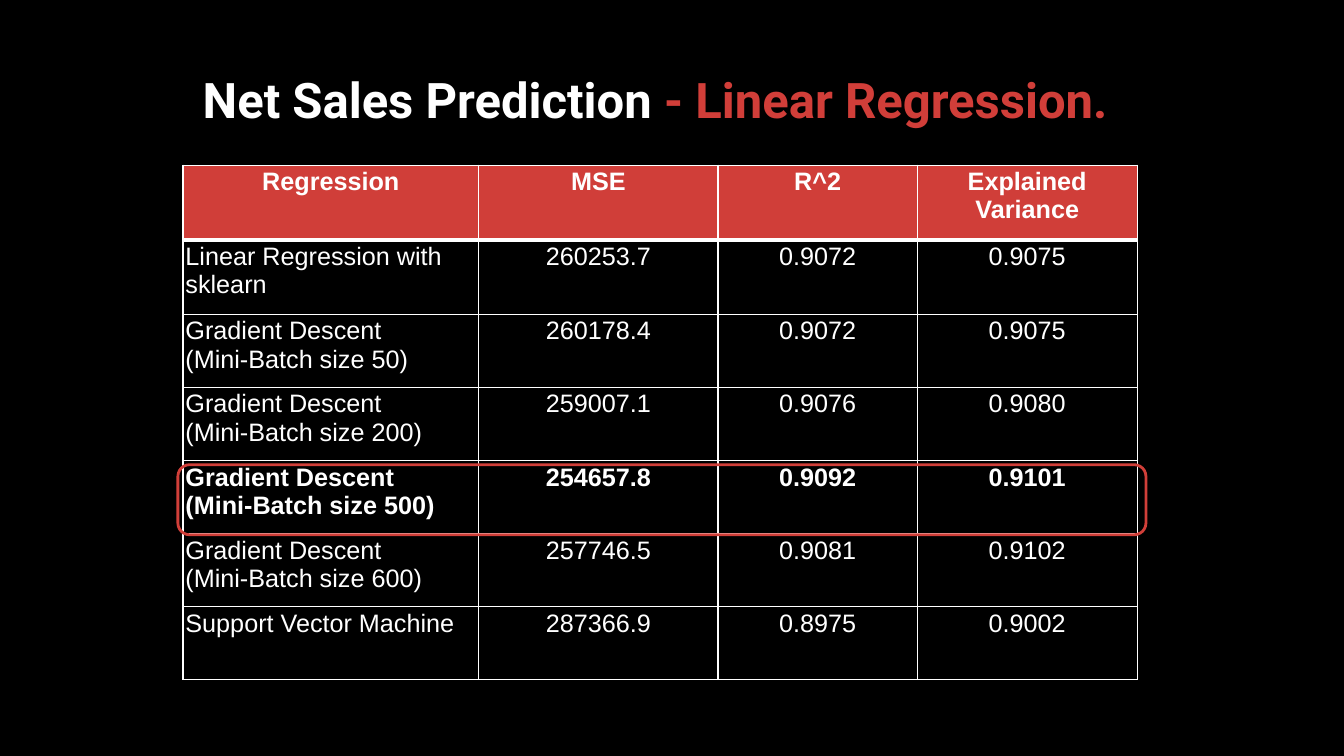
from pptx import Presentation
from pptx.dml.color import RGBColor
from pptx.enum.shapes import MSO_SHAPE
from pptx.enum.text import MSO_ANCHOR, PP_ALIGN
from pptx.oxml import parse_xml
from pptx.oxml.ns import nsdecls
from pptx.util import Inches, Pt

WHITE, BLACK, RED = "FFFFFF", "000000", "D13E39"


def color(hex_string):
    return RGBColor.from_string(hex_string)


def set_borders(cell, widths):
    """Draw white borders; widths gives points for left, right, top, bottom."""
    properties = cell._tc.get_or_add_tcPr()
    for position, (side, width) in enumerate(zip("LRTB", widths)):
        properties.insert(position, parse_xml(
            f'<a:ln{side} {nsdecls("a")} w="{Pt(width)}"><a:solidFill>'
            f'<a:srgbClr val="{WHITE}"/></a:solidFill></a:ln{side}>'))


deck = Presentation()
deck.slide_width, deck.slide_height = Inches(26.67), Inches(15)
page = deck.slides.add_slide(deck.slide_layouts[6])
page.background.fill.solid()
page.background.fill.fore_color.rgb = color(BLACK)

# Title in two colours
title = page.shapes.add_textbox(Inches(1.5), Inches(0.58), Inches(23), Inches(2.9))
frame = title.text_frame
frame.word_wrap = True
frame.vertical_anchor = MSO_ANCHOR.MIDDLE
frame.margin_left = frame.margin_right = Inches(0.1)
frame.margin_top = frame.margin_bottom = Inches(0.1)
para = frame.paragraphs[0]
para.alignment = PP_ALIGN.CENTER
para.line_spacing = 0.9
para.font.name, para.font.size, para.font.bold = "Roboto", Pt(70), True
for text, ink in [("Net Sales Prediction ", WHITE), ("- Linear Regression.", RED)]:
    span = para.add_run()
    span.text = text
    span.font.color.rgb = color(ink)

# Results table
rows = [
    ("Regression", "MSE", "R^2", "Explained Variance"),
    ("Linear Regression with sklearn", "260253.7", "0.9072", "0.9075"),
    ("Gradient Descent \v(Mini-Batch size 50)", "260178.4", "0.9072", "0.9075"),
    ("Gradient Descent \v(Mini-Batch size 200)", "259007.1", "0.9076", "0.9080"),
    ("Gradient Descent \v(Mini-Batch size 500)", "254657.8", "0.9092", "0.9101"),
    ("Gradient Descent \v(Mini-Batch size 600)", "257746.5", "0.9081", "0.9102"),
    ("Support Vector Machine", "287366.9", "0.8975", "0.9002"),
]
best_row = 4
column_widths = [5.87, 4.75, 3.95, 4.37]
row_heights = [1.48] * 2 + [1.45] * 5
left, top = 3.63, 3.28
table = page.shapes.add_table(
    len(rows), len(column_widths), Inches(left), Inches(top),
    Inches(sum(column_widths)), Inches(sum(row_heights))).table
for column, width in zip(table.columns, column_widths):
    column.width = Inches(width)
for row, height in zip(table.rows, row_heights):
    row.height = Inches(height)

for r, values in enumerate(rows):
    for c, value in enumerate(values):
        cell = table.cell(r, c)
        cell.margin_left = cell.margin_right = Inches(0.05)
        cell.margin_top = cell.margin_bottom = Inches(0.05)
        cell.fill.solid()
        cell.fill.fore_color.rgb = color("D03E39" if r == 0 else BLACK)
        set_borders(cell, (2, 2, 6 if r == 1 else 2, 6 if r == 0 else 2))
        para = cell.text_frame.paragraphs[0]
        para.text = value
        para.alignment = PP_ALIGN.LEFT if r > 0 and c == 0 else PP_ALIGN.CENTER
        para.font.name, para.font.size = "Arial", Pt(36)
        para.font.bold = r in (0, best_row)
        para.font.color.rgb = color(WHITE)

# Outline around the best result
highlight = page.shapes.add_shape(
    MSO_SHAPE.ROUNDED_RECTANGLE, Inches(left - 0.1),
    Inches(top + sum(row_heights[:best_row]) + 0.08),
    Inches(sum(column_widths) + 0.27), Inches(1.39))
highlight.shadow.inherit = False
highlight.fill.background()
highlight.line.color.rgb = color("D13F39")
highlight.line.width = Pt(4)

deck.save("out.pptx")
